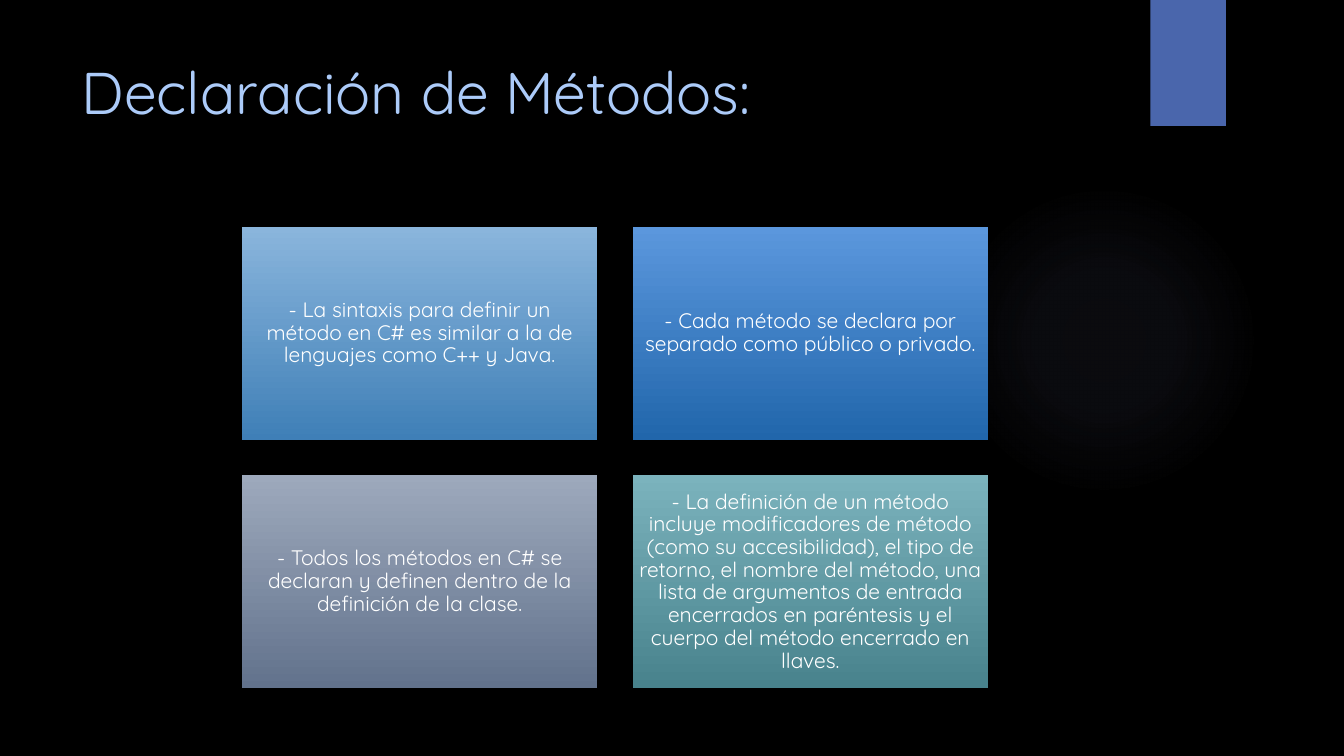
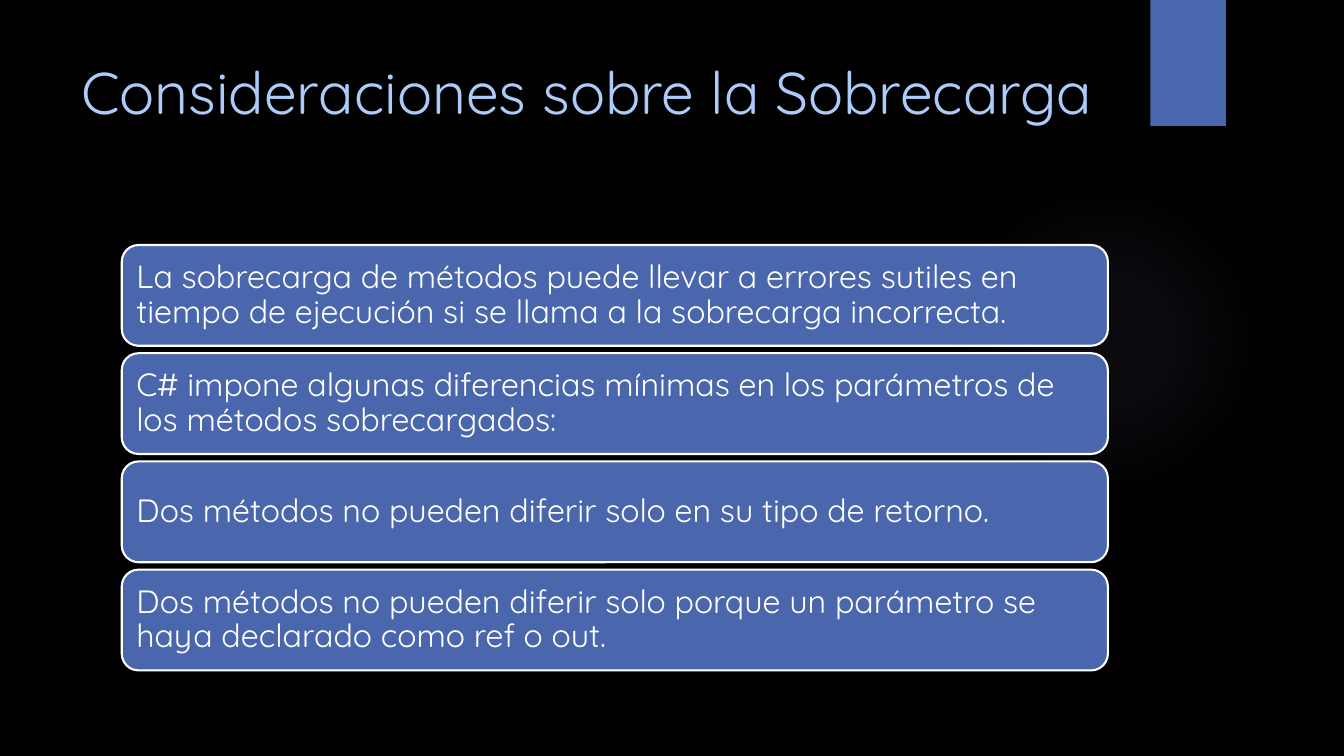
import pptx
import pptx.dml.color
import pptx.enum.shapes
import pptx.enum.text
import pptx.oxml
import pptx.oxml.ns
import pptx.util
from dataclasses import dataclass

Pt = pptx.util.Pt
RGBColor = pptx.dml.color.RGBColor
SHAPE = pptx.enum.shapes.MSO_SHAPE
ANCHOR = pptx.enum.text.MSO_ANCHOR
ALIGN = pptx.enum.text.PP_ALIGN


@dataclass(frozen=True)
class Theme:
    font: str = "Quicksand"
    background: str = "000000"
    accent: str = "4A66AC"
    title: str = "ACCBF9"
    text: str = "FFFFFF"
    glow: str = "9297CF"
    title_size: float = 42
    card_size: float = 15
    bar_size: float = 23


theme = Theme()


def add_box(slide, kind, left, top, width, height, color=None):
    """Add a shape without shadow or outline, solid when a colour is given."""
    shape = slide.shapes.add_shape(kind, Pt(left), Pt(top), Pt(width), Pt(height))
    shape.shadow.inherit = False
    shape.line.fill.background()
    if color:
        shape.fill.solid()
        shape.fill.fore_color.rgb = RGBColor.from_string(color)
    return shape


def write_text(shape, text, size, color, inset, align, anchor, spacing):
    """Put one formatted paragraph into a shape; inset is (sides, top and bottom)."""
    frame = shape.text_frame
    sides, ends = Pt(inset[0]), Pt(inset[1])
    frame_format = {
        "word_wrap": True, "vertical_anchor": anchor,
        "margin_left": sides, "margin_right": sides,
        "margin_top": ends, "margin_bottom": ends,
    }
    for name, value in frame_format.items():
        setattr(frame, name, value)
    paragraph = frame.paragraphs[0]
    paragraph.text = text
    paragraph.alignment = align
    paragraph.line_spacing = spacing
    font_format = {"name": theme.font, "size": Pt(size)}
    for name, value in font_format.items():
        setattr(paragraph.font, name, value)
    paragraph.font.color.rgb = RGBColor.from_string(color)


presentation = pptx.Presentation()
presentation.slide_width = Pt(960)
presentation.slide_height = Pt(540)

# Shared background
background = presentation.slide_master.background.fill
background.solid()
background.fore_color.rgb = RGBColor.from_string(theme.background)

# Shared glow: position and opacity in percent
glow_stops = "".join(
    f'<a:gs pos="{position * 1000}"><a:srgbClr val="{theme.glow}">'
    f'<a:alpha val="{opacity * 1000}"/></a:srgbClr></a:gs>'
    for position, opacity in ((0, 7), (36, 6), (69, 0))
)
glow_xml = (
    f'<a:gradFill {pptx.oxml.ns.nsdecls("a")}><a:gsLst>{glow_stops}</a:gsLst>'
    '<a:path path="circle"><a:fillToRect l="50000" t="50000" r="50000" b="50000"/>'
    "</a:path></a:gradFill>"
)

# Slides with glow, corner band and title
slides = []
for title in ("Declaración de Métodos:", "Consideraciones sobre la Sobrecarga"):
    slide = presentation.slides.add_slide(presentation.slide_layouts[6])
    glow = add_box(slide, SHAPE.OVAL, 677.5, 131.8, 221.8, 221.8)
    glow.element.spPr.find(pptx.oxml.ns.qn("a:prstGeom")).addnext(
        pptx.oxml.parse_xml(glow_xml)
    )
    add_box(slide, SHAPE.RECTANGLE, 821.7, 0, 54, 90, theme.accent)
    title_box = slide.shapes.add_textbox(Pt(51), Pt(36), Pt(741), Pt(110))
    write_text(title_box, title, theme.title_size, theme.title,
               (7.2, 3.6), ALIGN.LEFT, ANCHOR.TOP, 1.0)
    slides.append(slide)
declaration_slide, overload_slide = slides

# Declaration: two by two grid of gradient cards
cards = [
    ("8AB5DC", "3F7FB7",
     "- La sintaxis para definir un método en C# es similar a la de lenguajes "
     "como C++ y Java."),
    ("5B97DD", "2166AB",
     "- Cada método se declara por separado como público o privado."),
    ("9DA9BC", "62728C",
     "- Todos los métodos en C# se declaran y definen dentro de la definición "
     "de la clase."),
    ("7BB3BD", "48828C",
     "- La definición de un método incluye modificadores de método (como su "
     "accesibilidad), el tipo de retorno, el nombre del método, una lista de "
     "argumentos de entrada encerrados en paréntesis y el cuerpo del método "
     "encerrado en llaves."),
]
card_left, card_top, card_width, card_height, card_gap = 172.8, 162, 254, 152.4, 25
for index, (top_color, bottom_color, text) in enumerate(cards):
    row, column = divmod(index, 2)
    card = add_box(declaration_slide, SHAPE.RECTANGLE,
                   card_left + column * (card_width + card_gap),
                   card_top + row * (card_height + card_gap),
                   card_width, card_height)
    card.fill.gradient()
    card.fill.gradient_angle = 270
    for stop, color in zip(card.fill.gradient_stops, (top_color, bottom_color)):
        stop.color.rgb = RGBColor.from_string(color)
    write_text(card, text, theme.card_size, theme.text,
               (4.5, 4.5), ALIGN.CENTER, ANCHOR.MIDDLE, 0.9)

# Overloading: stacked rounded bars
bars = [
    "La sobrecarga de métodos puede llevar a errores sutiles en tiempo de "
    "ejecución si se llama a la sobrecarga incorrecta.",
    "C# impone algunas diferencias mínimas en los parámetros de los métodos "
    "sobrecargados:",
    "Dos métodos no pueden diferir solo en su tipo de retorno.",
    "Dos métodos no pueden diferir solo porque un parámetro se haya declarado "
    "como ref o out.",
]
bar_left, bar_top, bar_width, bar_height, bar_gap = 87, 175, 704.4, 72, 5.3
for index, text in enumerate(bars):
    bar = add_box(overload_slide, SHAPE.ROUNDED_RECTANGLE,
                  bar_left, bar_top + index * (bar_height + bar_gap),
                  bar_width, bar_height, theme.accent)
    bar.line.color.rgb = RGBColor.from_string(theme.text)
    bar.line.width = Pt(1.5)
    write_text(bar, text, theme.bar_size, theme.text,
               (7, 7), ALIGN.LEFT, ANCHOR.MIDDLE, 0.9)

presentation.save("out.pptx")
